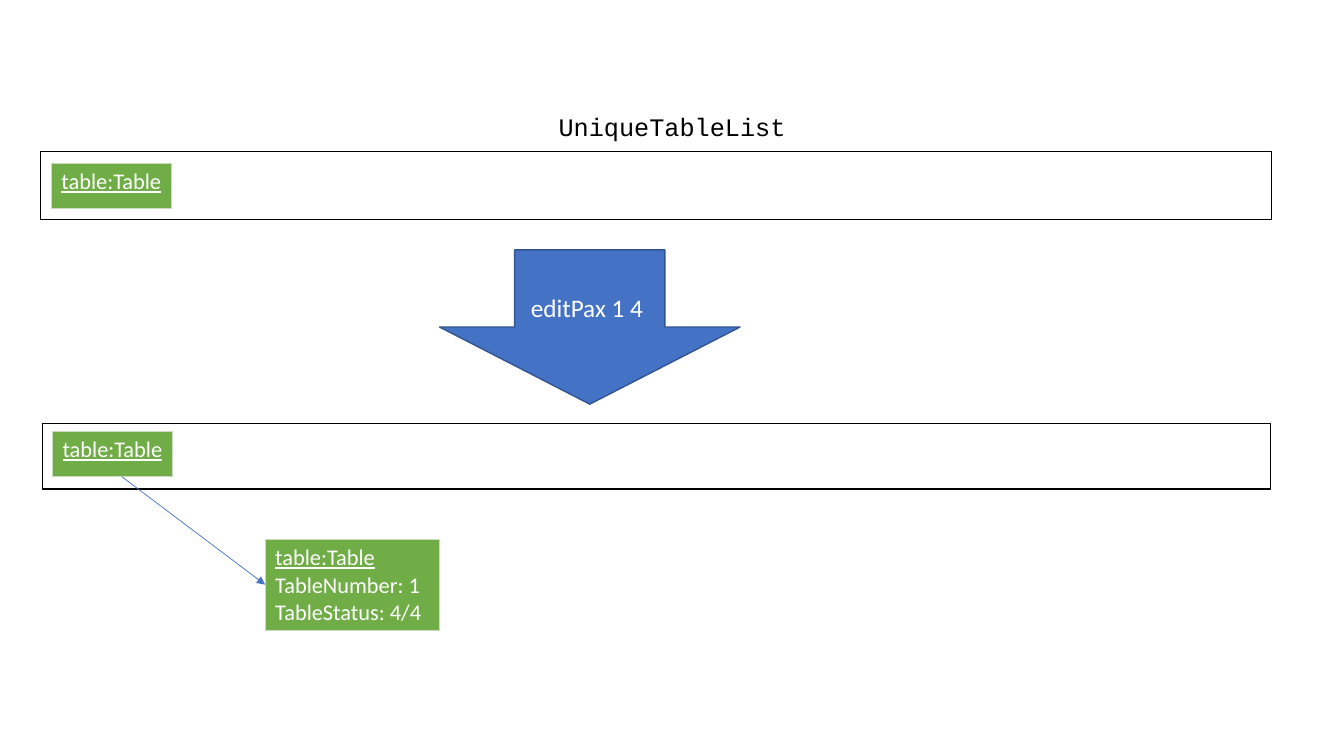
from lxml import etree
from pptx import Presentation
from pptx.dml.color import RGBColor
from pptx.enum import shapes, text
from pptx.oxml import ns
from pptx.util import Inches, Pt

COLORS = {
    "black": "000000",
    "white": "FFFFFF",
    "blue": "4472C4",
    "dark_blue": "325491",
    "green": "70AD47",
    "border": "C9DBC1",
}


def rgb(name):
    return RGBColor.from_string(COLORS[name])


def add_run(p, words, size, font, color, underline=False):
    r = p.add_run()
    r.text = words
    r.font.size = Pt(size)
    r.font.name = font
    r.font.bold = False
    r.font.underline = underline
    r.font.color.rgb = rgb(color)


def add_box(s, kind, left, top, width, height, line, fill=None):
    sp = s.shapes.add_shape(kind, Inches(left), Inches(top), Inches(width), Inches(height))
    sp.shadow.inherit = False
    if fill:
        sp.fill.solid()
        sp.fill.fore_color.rgb = rgb(fill)
    else:
        sp.fill.background()
    sp.line.color.rgb = rgb(line)
    sp.line.width = Pt(1)
    return sp


def add_label(s, words, left, top, width, height):
    tf = s.shapes.add_textbox(Inches(left), Inches(top), Inches(width), Inches(height)).text_frame
    tf.word_wrap = True
    tf.auto_size = text.MSO_AUTO_SIZE.SHAPE_TO_FIT_TEXT
    p = tf.paragraphs[0]
    p.alignment = text.PP_ALIGN.CENTER
    add_run(p, words, 18, "Courier New", "black")


def add_borders(cell):
    tc_pr = cell._tc.get_or_add_tcPr()
    for i, side in enumerate(("a:lnL", "a:lnR", "a:lnT", "a:lnB")):
        ln = etree.Element(ns.qn(side), w=str(Pt(0.5)))
        fill = etree.SubElement(ln, ns.qn("a:solidFill"))
        etree.SubElement(fill, ns.qn("a:srgbClr"), val=COLORS["border"])
        tc_pr.insert(i, ln)


def add_object(s, left, top, width, height, fields=()):
    """One-cell table: an underlined object name above its fields."""
    frame = s.shapes.add_table(1, 1, Inches(left), Inches(top), Inches(width), Inches(height))
    table = frame.table
    table.first_row = table.horz_banding = False
    cell = table.cell(0, 0)
    cell.fill.solid()
    cell.fill.fore_color.rgb = rgb("green")
    add_borders(cell)
    tf = cell.text_frame
    add_run(tf.paragraphs[0], "table:Table", 16, "Calibri", "white", underline=True)
    for field in fields:
        add_run(tf.add_paragraph(), field, 16, "Calibri", "white")


def add_arrow(s, x1, y1, x2, y2):
    line = s.shapes.add_connector(
        shapes.MSO_CONNECTOR.STRAIGHT, Inches(x1), Inches(y1), Inches(x2), Inches(y2))
    line.line.color.rgb = rgb("blue")
    line.line.width = Pt(0.5)
    etree.SubElement(line.line._get_or_add_ln(), ns.qn("a:tailEnd"), type="triangle")
    etree.SubElement(line._element.spPr, ns.qn("a:effectLst"))


def main():
    prs = Presentation()
    prs.slide_width, prs.slide_height = Inches(13.33), Inches(7.5)
    s = prs.slides.add_slide(prs.slide_layouts[6])

    # List before and after the command
    add_box(s, shapes.MSO_SHAPE.RECTANGLE, 0.4, 1.5, 12.21, 0.68, "black")
    add_box(s, shapes.MSO_SHAPE.RECTANGLE, 0.42, 4.2, 12.18, 0.65, "black")
    add_label(s, "UniqueTableList", 4.91, 1.06, 3.51, 0.4)

    # Table objects
    add_object(s, 0.51, 1.62, 1.19, 0.45)
    add_object(s, 0.52, 4.28, 1.19, 0.45)
    add_object(s, 2.63, 5.35, 1.73, 0.9, ("TableNumber: 1", "TableStatus: 4/4"))
    add_arrow(s, 1.21, 4.73, 2.63, 5.8)

    # Command
    command = add_box(s, shapes.MSO_SHAPE.DOWN_ARROW, 4.36, 2.48, 2.98, 1.53, "dark_blue", "blue")
    tf = command.text_frame
    tf.vertical_anchor = text.MSO_ANCHOR.MIDDLE
    p = tf.paragraphs[0]
    p.alignment = text.PP_ALIGN.CENTER
    add_run(p, "editPax 1 4 ", 18, "Calibri", "white")

    prs.save("out.pptx")


if __name__ == "__main__":
    main()
